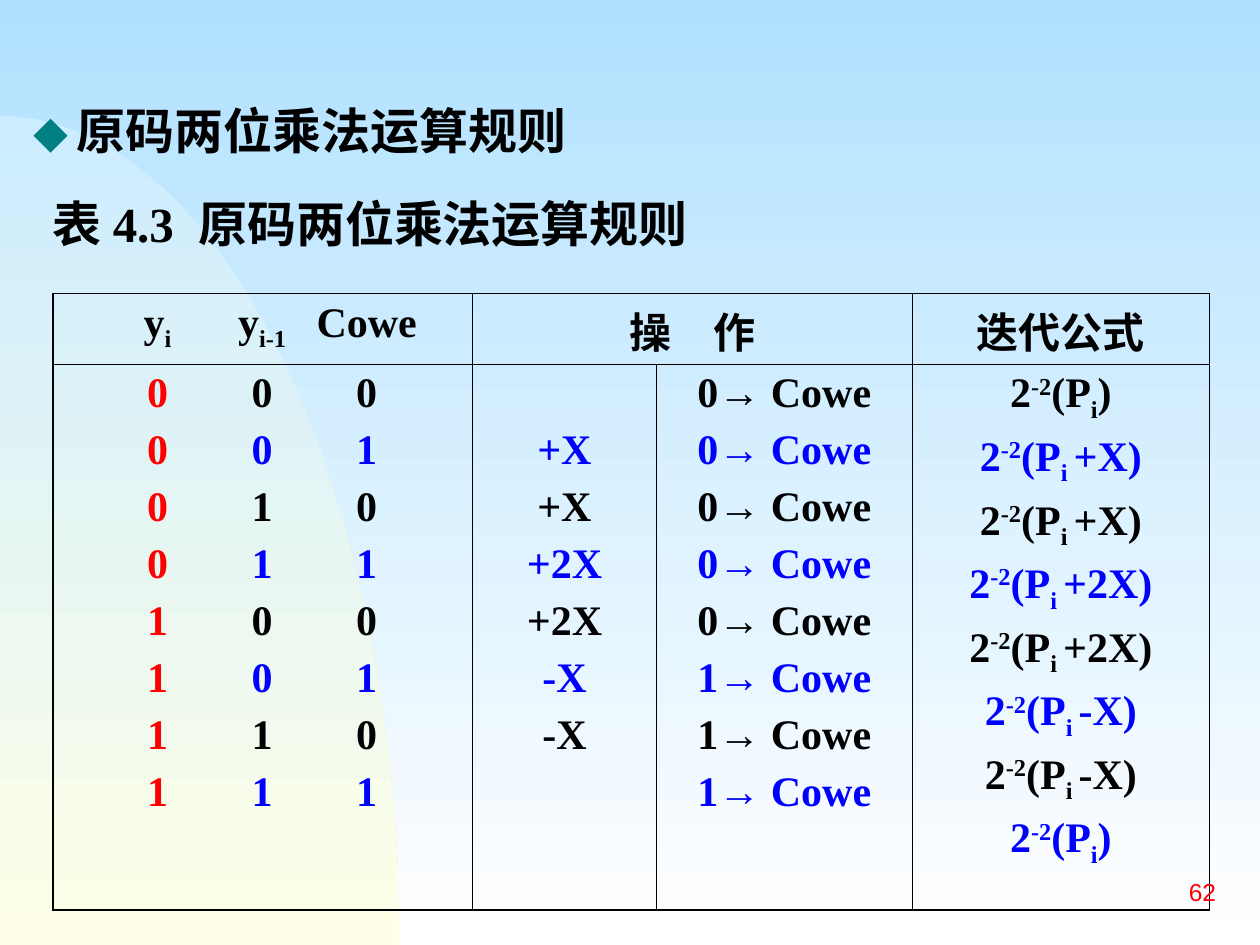
from dataclasses import dataclass
from math import cos, pi, sin

from pptx import Presentation
from pptx.dml.color import RGBColor
from pptx.enum.text import MSO_ANCHOR, PP_ALIGN
from pptx.oxml.ns import qn
from pptx.util import Inches, Pt
from lxml.etree import SubElement

BLACK, BLUE, RED, TEAL = "000000", "0000FF", "FF0000", "008080"
SERIF, SANS, HAN = "Times New Roman", "Arial", "Noto Sans CJK SC"
SUPER, SUB = 30, -25
BIT_STOPS = (0.73, 1.56, 2.39)
THIN, THICK = 0.45, 1.08


@dataclass
class Span:
    text: str
    color: str = BLACK
    base: int = 0


@dataclass
class Rule:
    bits: str
    operation: str
    carry: str


RULES = [
    Rule("000", "", "0"),
    Rule("001", "+X", "0"),
    Rule("010", "+X", "0"),
    Rule("011", "+2X", "0"),
    Rule("100", "+2X", "0"),
    Rule("101", "-X", "1"),
    Rule("110", "-X", "1"),
    Rule("111", "", "1"),
]


def rgb(value: str) -> RGBColor:
    return RGBColor.from_string(value)


def add_span(para, text: str, *, size=24, color=BLACK, font=SERIF, bold=True, base=0, han=False):
    span = para.add_run()
    span.text = text
    span.font.size = Pt(size)
    span.font.bold = bold
    span.font.name = font
    span.font.color.rgb = rgb(color)
    properties = span._r.get_or_add_rPr()
    if han:
        SubElement(properties, qn("a:ea")).set("typeface", HAN)
    if base:
        properties.set("baseline", str(base * 1000))


def add_box(page, left: float, top: float, width: float, height: float, wrap=True):
    box = page.shapes.add_textbox(Inches(left), Inches(top), Inches(width), Inches(height))
    box.text_frame.word_wrap = wrap
    return box.text_frame


def paint_gradient(fill, start: str, end: str) -> None:
    fill.gradient()
    fill.gradient_angle = 270
    for stop, color in zip(fill.gradient_stops, (start, end)):
        stop.color.rgb = rgb(color)


def add_quarter_ellipse(page, top: float, width: float, bottom: float) -> None:
    steps = 90
    angles = [step * pi / 2 / steps for step in range(steps + 1)]
    points = [(Inches(width * sin(a)), Inches(bottom - (bottom - top) * cos(a))) for a in angles]
    builder = page.shapes.build_freeform(*points[0])
    builder.add_line_segments(points[1:] + [(0, Inches(bottom))], close=True)
    shape = builder.convert_to_shape()
    shape.shadow.inherit = False
    shape.line.fill.background()
    paint_gradient(shape.fill, "CCECFF", "FFFFE7")


def set_tabs(para, stops: tuple) -> None:
    tabs = SubElement(para._p.get_or_add_pPr(), qn("a:tabLst"))
    for stop in stops:
        tab = SubElement(tabs, qn("a:tab"))
        tab.set("pos", str(Inches(stop)))
        tab.set("algn", "ctr")


def fill_cell(cell, lines: list, stops: tuple = (), han=False) -> None:
    frame = cell.text_frame
    for index, spans in enumerate(lines):
        para = frame.paragraphs[0] if index == 0 else frame.add_paragraph()
        para.alignment = PP_ALIGN.LEFT if stops else PP_ALIGN.CENTER
        if stops:
            set_tabs(para, stops)
        if index:
            para.space_before = Pt(6)
        for span in spans:
            add_span(para, span.text, color=span.color, base=span.base, han=han)


def set_border(cell, side: str, width: float) -> None:
    line = SubElement(cell._tc.get_or_add_tcPr(), qn(f"a:ln{side}"))
    line.set("w", str(Pt(width)))
    SubElement(SubElement(line, qn("a:solidFill")), qn("a:srgbClr")).set("val", BLACK)


def format_grid(table) -> None:
    last_row, last_column = len(table.rows) - 1, len(table.columns) - 1
    for row in range(last_row + 1):
        for column in range(last_column + 1):
            cell = table.cell(row, column)
            edges = {"L": column == 0, "R": column == last_column,
                     "T": row == 0, "B": row == last_row}
            for side, outer in edges.items():
                set_border(cell, side, THICK if outer else THIN)
            cell.fill.background()


def formula(operation: str, color: str) -> list:
    parts = [("2", 0), ("-2", SUPER), ("(P", 0),
             ("i " if operation else "i", SUB), (f"{operation})", 0)]
    return [Span(text, color, base) for text, base in parts]


def add_rule_table(page) -> None:
    widths, heights = (3.33, 1.46, 2.03, 2.36), (0.56, 4.33)
    frame = page.shapes.add_table(len(heights), len(widths), Inches(0.42), Inches(2.33),
                                  Inches(sum(widths)), Inches(sum(heights)))
    table = frame.table
    table.first_row = table.horz_banding = False
    for column, width in zip(table.columns, widths):
        column.width = Inches(width)
    for row, height in zip(table.rows, heights):
        row.height = Inches(height)
    format_grid(table)
    table.cell(0, 1).merge(table.cell(0, 2))

    header = [Span("\ty"), Span("i", base=SUB), Span("\ty"), Span("i-1", base=SUB), Span("\tCowe")]
    fill_cell(table.cell(0, 0), [header], BIT_STOPS)
    fill_cell(table.cell(0, 1), [[Span("操　作")]], han=True)
    fill_cell(table.cell(0, 3), [[Span("迭代公式")]], han=True)

    colored = [(rule, BLUE if index % 2 else BLACK) for index, rule in enumerate(RULES)]
    bits = [[Span(f"\t{rule.bits[0]}", RED), Span(f"\t{rule.bits[1]}\t{rule.bits[2]}", color)]
            for rule, color in colored]
    operations = [[Span(rule.operation, color)] for rule, color in colored if rule.operation]
    carries = [[Span(f"{rule.carry}→ Cowe", color)] for rule, color in colored]
    formulas = [formula(rule.operation, color) for rule, color in colored]
    fill_cell(table.cell(1, 0), bits, BIT_STOPS)
    fill_cell(table.cell(1, 1), operations)
    fill_cell(table.cell(1, 2), carries)
    fill_cell(table.cell(1, 3), formulas)
    table.cell(1, 1).margin_top = Inches(0.5)


def main() -> None:
    deck = Presentation()
    deck.slide_width, deck.slide_height = Inches(10), Inches(7.5)
    page = deck.slides.add_slide(deck.slide_layouts[6])
    paint_gradient(page.background.fill, "B1E1FF", "FFFFFF")
    add_quarter_ellipse(page, top=0.92, width=3.17, bottom=7.5)

    heading = add_box(page, 0.17, 0.75, 5.17, 0.57).paragraphs[0]
    add_span(heading, "◆ ", size=20, color=TEAL, font=HAN, han=True)
    add_span(heading, "原码两位乘法运算规则", size=28, han=True)

    caption = add_box(page, 0.32, 1.49, 6.02, 0.57).paragraphs[0]
    add_span(caption, "表 4.3  原码两位乘法运算规则", size=28, han=True)

    add_rule_table(page)

    number = add_box(page, 7.67, 6.83, 2.08, 0.5, wrap=False)
    number.vertical_anchor = MSO_ANCHOR.MIDDLE
    number.paragraphs[0].alignment = PP_ALIGN.RIGHT
    add_span(number.paragraphs[0], "62", size=14, color=RED, font=SANS, bold=False)
    deck.save("out.pptx")


if __name__ == "__main__":
    main()
